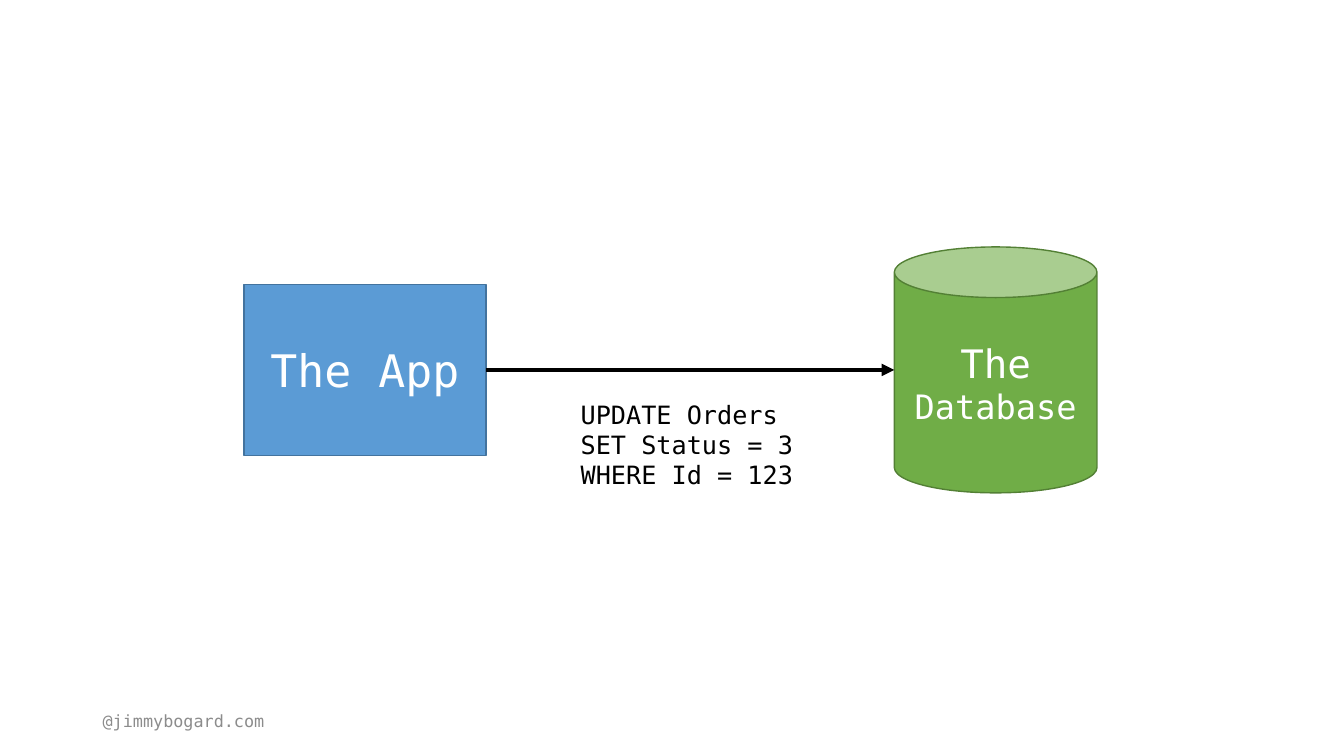
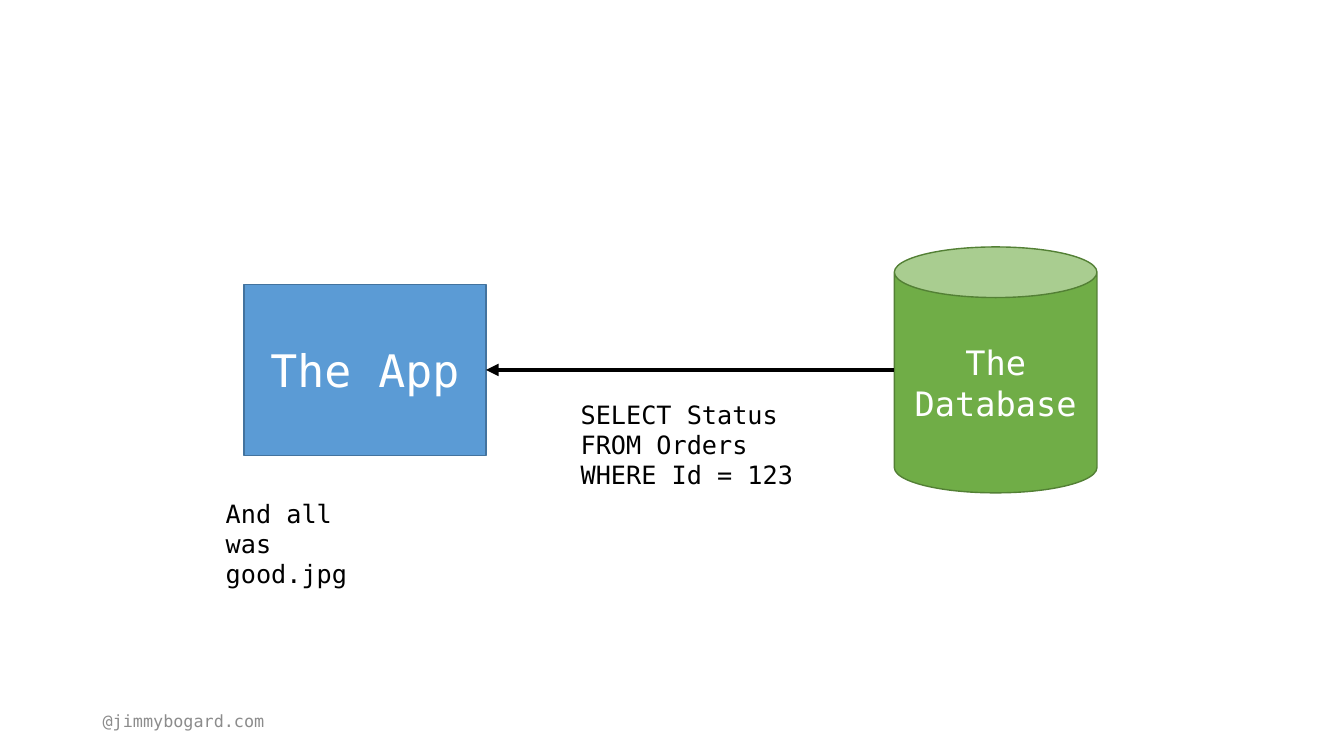
from lxml import etree
from pptx import Presentation
from pptx import util as u
from pptx.dml.color import RGBColor
from pptx.enum import shapes, text
from pptx.oxml.ns import qn

PX = 9144  # EMU per px, 100 px to the inch
FONT = "DejaVu Sans Mono"
WHITE, BLACK, GRAY = "FFFFFF", "000000", "8C8C8C"
BLUE, BLUE_EDGE = "5B9BD5", "43739E"
GREEN, GREEN_EDGE = "70AD47", "538035"

# Places shared by the slides: left, top, width, height
APP_BOX = (242, 282, 240, 170)
DATABASE_BOX = (887, 245, 201, 244)
QUERY_BOX = (566, 391, 248, 101)
REMARK_BOX = (214, 489, 153, 101)
FOOTER_BOX = (92, 695, 300, 40)


def px(*lengths):
    return [u.Emu(length * PX) for length in lengths]


def color(value):
    return RGBColor.from_string(value)


def apply_format(target, values):
    for name, value in values.items():
        setattr(target, name, value)


def write(shape, paragraphs, fill, align, anchor):
    """Fill a shape with paragraphs, each a list of (words, size) runs."""
    frame = shape.text_frame
    apply_format(frame, {"word_wrap": True, "vertical_anchor": anchor})
    for index, runs in enumerate(paragraphs):
        paragraph = frame.paragraphs[0] if index == 0 else frame.add_paragraph()
        paragraph.alignment = align
        for words, size in runs:
            run = paragraph.add_run()
            apply_format(run, {"text": words})
            apply_format(run.font, {"name": FONT, "size": u.Pt(size)})
            run.font.color.rgb = color(fill)


def add_node(slide, kind, box, fill, edge, runs):
    shape = slide.shapes.add_shape(kind, *px(*box))
    shape.shadow.inherit = False
    shape.fill.solid()
    shape.fill.fore_color.rgb = color(fill)
    shape.line.color.rgb = color(edge)
    shape.line.width = u.Pt(1)
    write(shape, [runs], WHITE, text.PP_ALIGN.CENTER, text.MSO_ANCHOR.MIDDLE)
    return shape


def add_text(slide, box, lines, size=18, fill=BLACK, anchor=text.MSO_ANCHOR.TOP):
    shape = slide.shapes.add_textbox(*px(*box))
    paragraphs = [[(line, size)] for line in lines]
    write(shape, paragraphs, fill, text.PP_ALIGN.LEFT, anchor)


def add_arrow(slide, app, database, arrow_end):
    """Join the app to the database, with an arrowhead at one end."""
    middle = database.top + database.height // 2
    connector = slide.shapes.add_connector(
        shapes.MSO_CONNECTOR.STRAIGHT,
        app.left + app.width, middle, database.left, middle)
    connector.begin_connect(app, 3)
    connector.line.color.rgb = color(BLACK)
    connector.line.width = u.Pt(3)
    properties = connector._element.spPr
    line = properties.find(qn("a:ln"))
    etree.SubElement(line, qn(arrow_end), type="triangle")
    etree.SubElement(properties, qn("a:effectLst"))


def add_diagram(presentation, database_runs, arrow_end, query):
    """Add a slide with the app, the database, the query and the footer."""
    slide = presentation.slides.add_slide(presentation.slide_layouts[6])
    database = add_node(slide, shapes.MSO_SHAPE.CAN, DATABASE_BOX,
                        GREEN, GREEN_EDGE, database_runs)
    app = add_node(slide, shapes.MSO_SHAPE.RECTANGLE, APP_BOX,
                   BLUE, BLUE_EDGE, [("The App", 32)])
    add_arrow(slide, app, database, arrow_end)
    add_text(slide, QUERY_BOX, query)
    add_text(slide, FOOTER_BOX, ["@jimmybogard.com"], 12, GRAY,
             text.MSO_ANCHOR.MIDDLE)
    return slide


def main():
    presentation = Presentation()
    width, height = px(1333, 750)
    apply_format(presentation, {"slide_width": width, "slide_height": height})

    # The app writes to the database
    add_diagram(presentation, [("The ", 28), ("Database", 24)], "a:tailEnd",
                ["UPDATE Orders", "SET Status = 3", "WHERE Id = 123"])

    # The app reads from the database
    reading = add_diagram(presentation, [("The Database", 24)], "a:headEnd",
                          ["SELECT Status", "FROM Orders", "WHERE Id = 123"])
    add_text(reading, REMARK_BOX, ["And all was good.jpg"])

    presentation.save("out.pptx")


if __name__ == "__main__":
    main()
